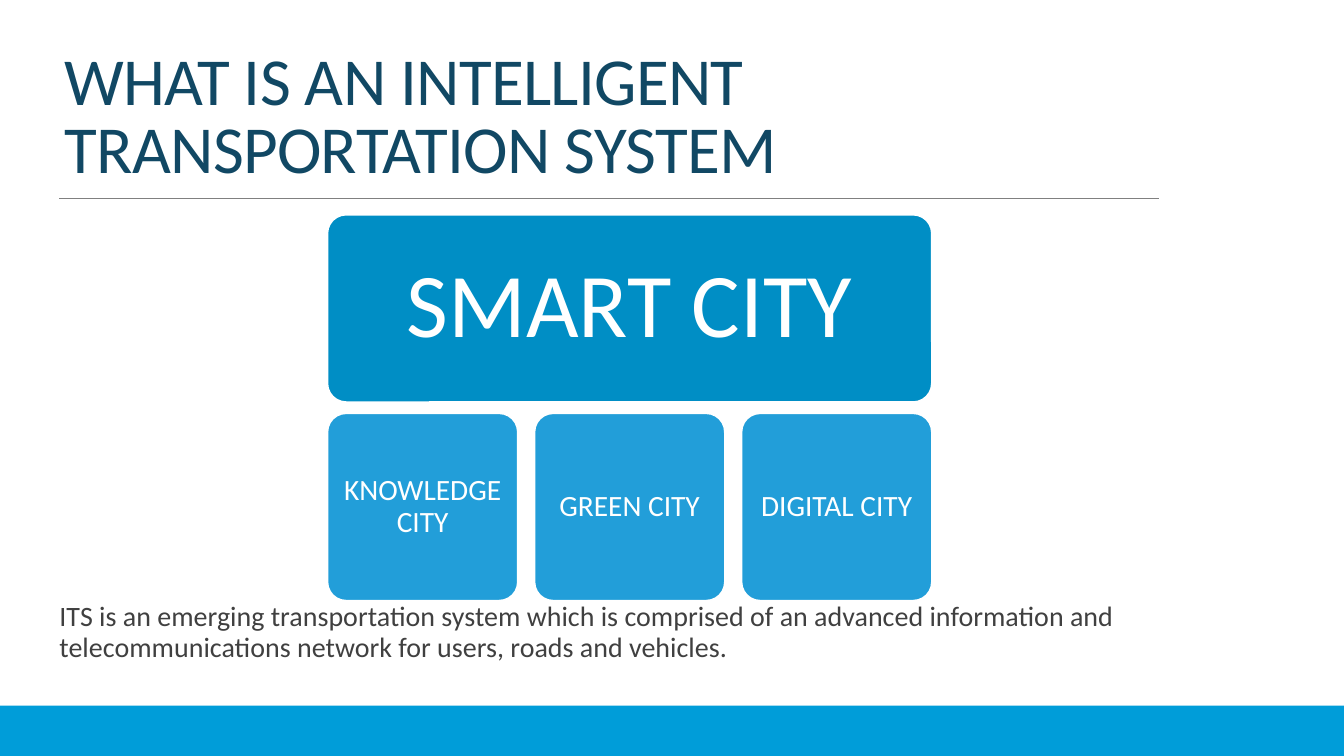
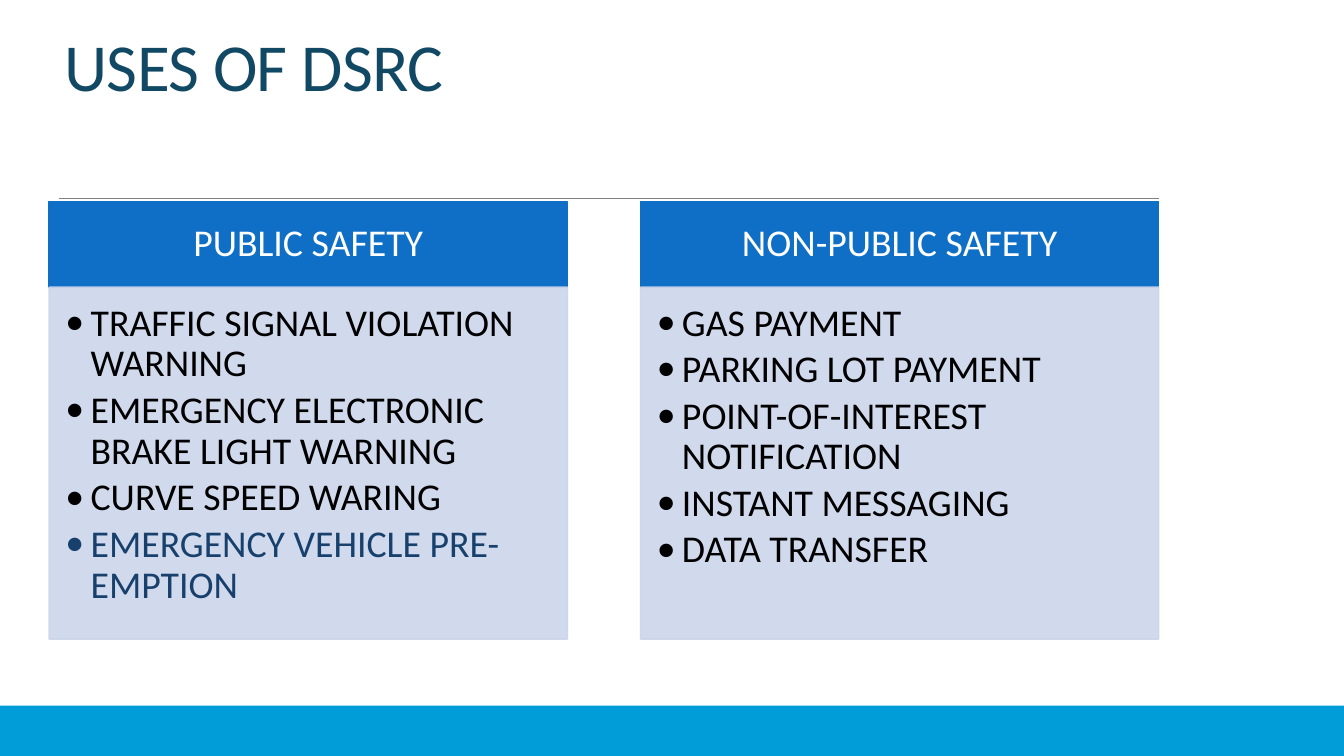
from lxml.etree import SubElement
from pptx import Presentation
from pptx.dml.color import RGBColor
from pptx.enum.shapes import MSO_CONNECTOR, MSO_SHAPE
from pptx.enum.text import MSO_ANCHOR, MSO_AUTO_SIZE, PP_ALIGN
from pptx.oxml.ns import qn
from pptx.util import Inches, Pt

WHITE = RGBColor(0xFF, 0xFF, 0xFF)
BLACK = RGBColor(0x00, 0x00, 0x00)
BAND = RGBColor(0x00, 0x9D, 0xD9)
RULE = RGBColor(0x80, 0x80, 0x80)
TITLE = RGBColor(0x11, 0x48, 0x64)
BODY = RGBColor(0x40, 0x40, 0x40)
ROOF = RGBColor(0x00, 0x8E, 0xC5)
TILE = RGBColor(0x22, 0x9E, 0xD9)
HEADER = RGBColor(0x0F, 0x6F, 0xC6)
PANEL = RGBColor(0xCC, 0xD5, 0xEA)
ACCENT = RGBColor(0x17, 0x40, 0x6D)


class SlideBuilder:
    """Holds the deck style and the current slide."""

    font = "Calibri"
    width, height = 13.34, 7.5

    def __init__(self):
        self.deck = Presentation()
        self.deck.slide_width = Inches(self.width)
        self.deck.slide_height = Inches(self.height)
        self.page = None

    def new_page(self, title, top, height, anchor):
        """Add a slide with its title, footer band and rule."""
        self.page = self.deck.slides.add_slide(self.deck.slide_layouts[5])
        box = self.page.shapes.title
        box.left, box.top = Inches(0.54), Inches(top)
        box.width, box.height = Inches(11), Inches(height)
        self.frame(box, anchor, (0.1, 0.05, 0.1, 0.05))
        self.add_text(box.text_frame.paragraphs[0], title, 48, TITLE, spacing=0.85)
        for properties in box.element.iter(qn("a:rPr")):
            properties.set("spc", "-50")
        self.shape(MSO_SHAPE.RECTANGLE, 0, 7, self.width, 0.5, BAND)
        self.rule(0.59, 11.5, 1.97)

    def rule(self, left, right, top):
        """Draw a thin horizontal line."""
        line = self.page.shapes.add_connector(
            MSO_CONNECTOR.STRAIGHT, Inches(left), Inches(top), Inches(right), Inches(top))
        line.line.color.rgb = RULE
        line.line.width = Pt(0.5)
        SubElement(line.element.spPr, qn("a:effectLst"))

    def shape(self, kind, left, top, width, height, fill, outline=None):
        """Draw a filled preset shape."""
        box = self.page.shapes.add_shape(
            kind, Inches(left), Inches(top), Inches(width), Inches(height))
        box.shadow.inherit = False
        box.fill.solid()
        box.fill.fore_color.rgb = fill
        if outline is None:
            box.line.fill.background()
        else:
            box.line.color.rgb = outline
            box.line.width = Pt(1.25)
        return box

    def frame(self, box, anchor, insets):
        """Set the wrapping, anchor and insets of a text frame."""
        frame = box.text_frame
        frame.word_wrap = True
        frame.auto_size = MSO_AUTO_SIZE.NONE
        frame.vertical_anchor = anchor
        (frame.margin_left, frame.margin_top,
         frame.margin_right, frame.margin_bottom) = map(Inches, insets)

    def add_text(self, para, text, size, color, align=PP_ALIGN.LEFT, spacing=0.9, after=0):
        """Add one styled run to a paragraph."""
        para.alignment = align
        para.line_spacing = spacing
        para.space_before = Pt(0)
        para.space_after = Pt(after)
        span = para.add_run()
        span.text = text
        span.font.name = self.font
        span.font.size = Pt(size)
        span.font.color.rgb = color

    def label(self, box, text, size, insets):
        """Centre white text in a shape."""
        self.frame(box, MSO_ANCHOR.MIDDLE, insets)
        self.add_text(box.text_frame.paragraphs[0], text, size, WHITE, PP_ALIGN.CENTER)

    def card(self, left, top, width, fill, text, size, inset):
        """Draw a rounded card with a centred label."""
        box = self.shape(MSO_SHAPE.ROUNDED_RECTANGLE, left, top, width, 1.86, fill, WHITE)
        box.adjustments[0] = 0.1
        self.label(box, text, size, (inset,) * 4)

    def body(self, text, left, top, width, height):
        """Add a plain body paragraph."""
        box = self.page.shapes.add_textbox(
            Inches(left), Inches(top), Inches(width), Inches(height))
        self.frame(box, MSO_ANCHOR.TOP, (0, 0.05, 0, 0.05))
        self.add_text(box.text_frame.paragraphs[0], text, 20, BODY)

    def column(self, left, heading, items):
        """Draw a header above a translucent panel of bullets."""
        width = 5.14
        header = self.shape(MSO_SHAPE.RECTANGLE, left, 2, width, 0.85, HEADER, HEADER)
        self.label(header, heading, 27, (0.21, 0.12, 0.21, 0.12))
        panel = self.shape(MSO_SHAPE.RECTANGLE, left, 2.85, width, 3.49, PANEL, PANEL)
        for color in panel.element.spPr.iter(qn("a:srgbClr")):
            SubElement(color, qn("a:alpha")).set("val", "90000")
        self.frame(panel, MSO_ANCHOR.TOP, (0.16, 0.16, 0.21, 0.24))
        frame = panel.text_frame
        for index, (text, color) in enumerate(items):
            para = frame.add_paragraph() if index else frame.paragraphs[0]
            self.add_text(para, text, 27, color, after=4)
        for properties in panel.element.iter(qn("a:pPr")):
            properties.set("marL", str(Inches(0.25)))
            properties.set("indent", str(-Inches(0.25)))
            SubElement(properties, qn("a:buFont")).set("typeface", self.font)
            SubElement(properties, qn("a:buChar")).set("char", "•")


def main():
    """Build and save the deck."""
    builder = SlideBuilder()

    builder.new_page("WHAT IS AN INTELLIGENT TRANSPORTATION SYSTEM",
                     1.18, 0.73, MSO_ANCHOR.BOTTOM)
    builder.body("ITS is an emerging transportation system which is comprised of an advanced "
                 "information and telecommunications network for users, roads and vehicles.",
                 0.59, 5.93, 10.91, 0.9)
    left, roof_width, tile_width = 3.25, 6, 1.89
    builder.card(left, 2.13, roof_width, ROOF, "SMART CITY", 65, 0.27)
    step = (roof_width - tile_width) / 2
    for index, text in enumerate(("KNOWLEDGE CITY", "GREEN CITY", "DIGITAL CITY")):
        builder.card(left + index * step, 4.1, tile_width, TILE, text, 21, 0.09)

    builder.new_page("USES OF DSRC", 0.31, 1.59, MSO_ANCHOR.TOP)
    builder.column(0.49, "PUBLIC SAFETY", (
        ("TRAFFIC SIGNAL VIOLATION WARNING", BLACK),
        ("EMERGENCY ELECTRONIC BRAKE LIGHT WARNING", BLACK),
        ("CURVE SPEED WARING", BLACK),
        ("EMERGENCY VEHICLE PRE-EMPTION", ACCENT),
    ))
    builder.column(6.36, "NON-PUBLIC SAFETY", (
        ("GAS PAYMENT", BLACK),
        ("PARKING LOT PAYMENT", BLACK),
        ("POINT-OF-INTEREST NOTIFICATION", BLACK),
        ("INSTANT MESSAGING", BLACK),
        ("DATA TRANSFER", BLACK),
    ))

    builder.deck.save("out.pptx")


if __name__ == "__main__":
    main()
